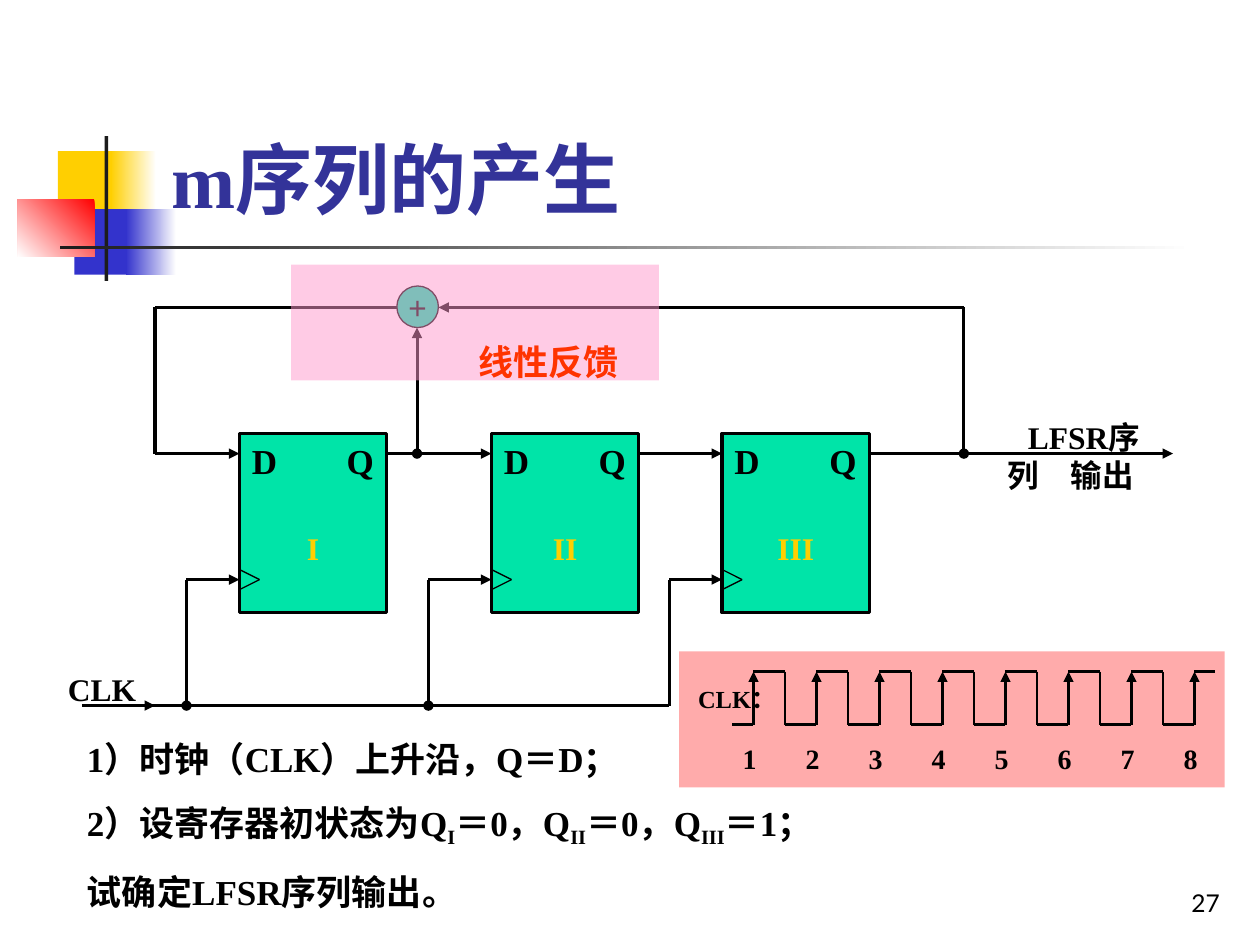
from collections import namedtuple
from dataclasses import dataclass

from lxml import etree
from pptx import Presentation
from pptx.dml.color import RGBColor
from pptx.enum.shapes import MSO_CONNECTOR, MSO_SHAPE
from pptx.enum.text import MSO_ANCHOR, MSO_AUTO_SIZE, PP_ALIGN
from pptx.oxml.ns import qn
from pptx.util import Inches, Pt

RECT, OVAL = MSO_SHAPE.RECTANGLE, MSO_SHAPE.OVAL
STRAIGHT = MSO_CONNECTOR.STRAIGHT
TOP, MIDDLE, BOTTOM = MSO_ANCHOR.TOP, MSO_ANCHOR.MIDDLE, MSO_ANCHOR.BOTTOM
LEFT, CENTER, RIGHT = PP_ALIGN.LEFT, PP_ALIGN.CENTER, PP_ALIGN.RIGHT
NO_AUTOFIT = MSO_AUTO_SIZE.NONE

Box = namedtuple("Box", "left top width height")


@dataclass(frozen=True)
class Theme:
    serif: str = "Times New Roman"
    sans: str = "Arial"
    number_font: str = "Lato"
    ink: str = "000000"
    white: str = "FFFFFF"
    title: str = "333399"
    yellow: str = "FFCF01"
    blue: str = "3333CC"
    red: str = "FF0000"
    bar: str = "1C1C1C"
    register: str = "00E4A8"
    feedback: str = "FF99CC"
    feedback_text: str = "FF3300"
    title_size: int = 44
    body_size: int = 20
    label_size: int = 18
    tick_size: int = 16
    small_size: int = 14
    wire: float = 1.75
    frame: float = 2
    pulse: float = 1.5
    thin: float = 0.75


THEME = Theme()


# Shared helpers
def place(part, box):
    part.left, part.top, part.width, part.height = map(Inches, box)


def add_run(paragraph, text, size, color=THEME.ink, font=THEME.serif, bold=True):
    run = paragraph.add_run()
    run.text = text
    run.font.size, run.font.bold, run.font.name = Pt(size), bold, font
    run.font.color.rgb = RGBColor.from_string(color)
    return run


def add_tabs(paragraph, stops, align):
    tab_list = etree.SubElement(paragraph._p.get_or_add_pPr(), qn("a:tabLst"))
    for stop in stops:
        etree.SubElement(tab_list, qn("a:tab"), pos=str(Inches(stop)), algn=align)


def set_frame(part, anchor, wrap=True, **margins):
    frame = part.text_frame
    frame.word_wrap, frame.vertical_anchor, frame.auto_size = wrap, anchor, NO_AUTOFIT
    for side, length in margins.items():
        setattr(frame, "margin_" + side, Inches(length))
    return frame


def add_block(slide, box, color, kind=RECT, line=None, alpha=None):
    block = slide.shapes.add_shape(kind, *map(Inches, box))
    block.shadow.inherit = False
    block.fill.solid()
    block.fill.fore_color.rgb = RGBColor.from_string(color)
    if alpha is not None:
        rgb = block._element.spPr.find(qn("a:solidFill")).find(qn("a:srgbClr"))
        etree.SubElement(rgb, qn("a:alpha"), val=str(alpha * 1000))
    if line is None:
        block.line.fill.background()
    else:
        block.line.color.rgb = RGBColor.from_string(THEME.ink)
        block.line.width = Pt(line)
    return block


def add_fade(slide, box, start, end, clockwise=180):
    fill = add_block(slide, box, start).fill
    fill.gradient()
    fill.gradient_angle = 360 - clockwise
    for stop, color, position in zip(fill.gradient_stops, (start, end), (0, 1)):
        stop.color.rgb = RGBColor.from_string(color)
        stop.position = position


def add_wire(slide, points, head=None, tail=None, width=THEME.wire):
    """Straight segments through the points, with optional ends."""
    last = len(points) - 2
    for i, (start, end) in enumerate(zip(points, points[1:])):
        segment = slide.shapes.add_connector(STRAIGHT, *map(Inches, start + end))
        segment.line.color.rgb = RGBColor.from_string(THEME.ink)
        segment.line.width = Pt(width)
        line = segment.line._get_or_add_ln()
        if head and i == 0:
            etree.SubElement(line, qn("a:headEnd"), type=head)
        if tail and i == last:
            etree.SubElement(line, qn("a:tailEnd"), type=tail)
        etree.SubElement(segment._element.spPr, qn("a:effectLst"))


def add_label(slide, box, anchor=TOP):
    return set_frame(slide.shapes.add_textbox(*map(Inches, box)), anchor).paragraphs[0]


# Regions
def draw_ornament(slide, box):
    x, y = box.left, box.top
    add_block(slide, (x + 0.32, y + 0.12, 0.48, 0.52), THEME.yellow)
    add_fade(slide, (x + 0.74, y + 0.12, 0.36, 0.52), THEME.white, THEME.yellow)
    add_block(slide, (x + 0.45, y + 0.58, 0.46, 0.52), THEME.blue)
    add_fade(slide, (x + 0.86, y + 0.58, 0.4, 0.52), THEME.white, THEME.blue)
    add_fade(slide, (x, y + 0.5, 0.61, 0.46), THEME.red, THEME.white, 135)
    add_block(slide, (x + 0.69, y, 0.03, box.height), THEME.bar)
    add_fade(slide, (x + 0.34, y + 0.87, box.width - 0.34, 0.03), THEME.white, THEME.bar)


def fill_title(slide, box):
    title = slide.shapes.title
    place(title, box)
    paragraph = set_frame(title, BOTTOM).paragraphs[0]
    paragraph.alignment = LEFT
    add_run(paragraph, "m序列的产生", THEME.title_size, THEME.title)


def fill_steps(slide, box):
    steps = slide.placeholders[1]
    place(steps, box)
    frame = set_frame(steps, TOP)
    # Odd entries of each row are subscripts
    rows = (("1）时钟（CLK）上升沿，Q＝D；",),
            ("2）设寄存器初状态为Q", "I", "＝0，Q", "II", "＝0，Q", "III", "＝1；"),
            ("试确定LFSR序列输出。",))
    for i, row in enumerate(rows):
        paragraph = frame.add_paragraph() if i else frame.paragraphs[0]
        properties = paragraph._p.get_or_add_pPr()
        properties.set("marL", "0")
        properties.set("indent", "0")
        paragraph.space_before = Pt(12.5 if i else 0)
        etree.SubElement(properties, qn("a:buNone"))
        for j, text in enumerate(row):
            run = add_run(paragraph, text, THEME.body_size)
            if j % 2:
                run.font._element.set("baseline", "-25000")


def draw_register(slide, box, numeral, pin_y):
    register = add_block(slide, box, THEME.register, line=THEME.frame)
    frame = set_frame(register, TOP, left=0.1, right=0.1)
    pins, name = frame.paragraphs[0], frame.add_paragraph()
    pins.alignment, name.alignment = LEFT, CENTER
    add_tabs(pins, [box.width - 0.2], "r")
    add_run(pins, "D\tQ", THEME.body_size)
    name.space_before = Pt(27)
    add_run(name, numeral, THEME.label_size, THEME.yellow)
    add_wire(slide, [(box.left, pin_y - 0.08), (box.left + 0.16, pin_y),
                     (box.left, pin_y + 0.08)], width=THEME.thin)


def draw_circuit(slide, box):
    x, y = box.left, box.top
    loop_y, data_y, pin_y, bus_y = (y + d for d in (0.17, 1.33, 2.33, 3.33))
    registers = [Box(x + d, y + 1.17, 1.17, 1.42) for d in (1.25, 3.25, 5.08)]
    taps = [x + d for d in (0.83, 2.75, 4.66)]
    loop_x, sum_x, output_x = x + 0.58, x + 2.66, x + 7

    # Registers with their clock branches
    for register, numeral, tap in zip(registers, ("I", "II", "III"), taps):
        draw_register(slide, register, numeral, pin_y)
        add_wire(slide, [(tap, bus_y), (tap, pin_y), (register.left, pin_y)],
                 head=None if tap == taps[-1] else "oval", tail="triangle")
    add_wire(slide, [(x + 0.5, bus_y), (taps[-1], bus_y)], width=THEME.frame)
    add_wire(slide, [(x, bus_y), (loop_x, bus_y)], tail="triangle")

    # Data path and feedback loop
    ends = [r.left for r in registers[1:]] + [x + box.width]
    for register, end in zip(registers, ends):
        add_wire(slide, [(register.left + register.width, data_y), (end, data_y)],
                 tail="triangle")
    add_wire(slide, [(output_x, data_y), (output_x, loop_y), (sum_x + 0.17, loop_y)],
             head="oval", tail="triangle")
    add_wire(slide, [(sum_x, data_y), (sum_x, loop_y + 0.16)], "oval", "triangle")
    add_wire(slide, [(sum_x - 0.16, loop_y), (loop_x, loop_y), (loop_x, data_y),
                     (registers[0].left, data_y)], tail="triangle")
    adder = add_block(slide, (sum_x - 0.16, y, 0.33, 0.33), THEME.register, OVAL, THEME.thin)
    plus = set_frame(adder, MIDDLE, wrap=False).paragraphs[0]
    plus.alignment = CENTER
    add_run(plus, "+", THEME.label_size, font=THEME.sans, bold=False)

    # Signal names
    add_run(add_label(slide, (x - 0.21, y + 3, 0.9, 0.4)), "CLK", THEME.label_size)
    output = add_label(slide, (x + 7.25, y + 1, 1.42, 0.7))
    output._p.get_or_add_pPr().set("indent", str(Inches(0.16)))
    add_tabs(output, [0.65], "l")
    add_run(output, "LFSR序", THEME.label_size)
    output.add_line_break()
    add_run(output, "列\t输出", THEME.label_size)


def draw_clock(slide, box, cycles=8, period=0.5):
    panel = add_block(slide, box, THEME.red, alpha=33)
    frame = set_frame(panel, TOP, left=0.15, top=0.26, right=0)
    name, ticks = frame.paragraphs[0], frame.add_paragraph()
    name.alignment = ticks.alignment = LEFT
    add_run(name, "CLK：", THEME.small_size)
    ticks.space_before = Pt(16)
    add_tabs(ticks, [0.41 + period * i for i in range(cycles)], "ctr")
    add_run(ticks, "".join(f"\t{i + 1}" for i in range(cycles)), THEME.tick_size)

    high, low = box.top + 0.16, box.top + 0.58
    for i in range(cycles):
        rise = box.left + 0.59 + period * i
        fall = rise + period / 2
        lead = period / 2 if i else 0.17
        add_wire(slide, [(rise - lead, low), (rise, low), (rise, high)],
                 tail="triangle", width=THEME.pulse)
        if i < cycles - 1:
            add_wire(slide, [(rise, high), (fall, high), (fall, low)], width=THEME.pulse)
        else:
            add_wire(slide, [(rise, high), (rise + 0.16, high)], width=THEME.pulse)


def draw_feedback(slide, box):
    panel = add_block(slide, box, THEME.feedback, alpha=50)
    caption = set_frame(panel, TOP, top=0.6, right=0.32, bottom=0).paragraphs[0]
    caption.alignment = RIGHT
    add_run(caption, "线性反馈", THEME.body_size, THEME.feedback_text, THEME.sans)


def draw_page_number(slide, box):
    number = add_label(slide, box, BOTTOM)
    number.alignment = RIGHT
    add_run(number, "27", THEME.small_size, font=THEME.number_font, bold=False)


def main():
    deck = Presentation()
    deck.slide_width, deck.slide_height = Inches(10), Inches(7.5)
    slide = deck.slides.add_slide(deck.slide_layouts[1])
    draw_ornament(slide, Box(0.14, 1.08, 9.34, 1.15))
    fill_title(slide, Box(1.26, 0.23, 8.52, 1.6))
    draw_circuit(slide, Box(0.65, 2.27, 8.66, 3.33))
    fill_steps(slide, Box(0.59, 5.8, 8.83, 1.5))
    draw_clock(slide, Box(5.39, 5.17, 4.33, 1.08))
    draw_feedback(slide, Box(2.31, 2.1, 2.92, 0.92))
    draw_page_number(slide, Box(7.7, 6.83, 2.08, 0.5))
    deck.save("out.pptx")


if __name__ == "__main__":
    main()
